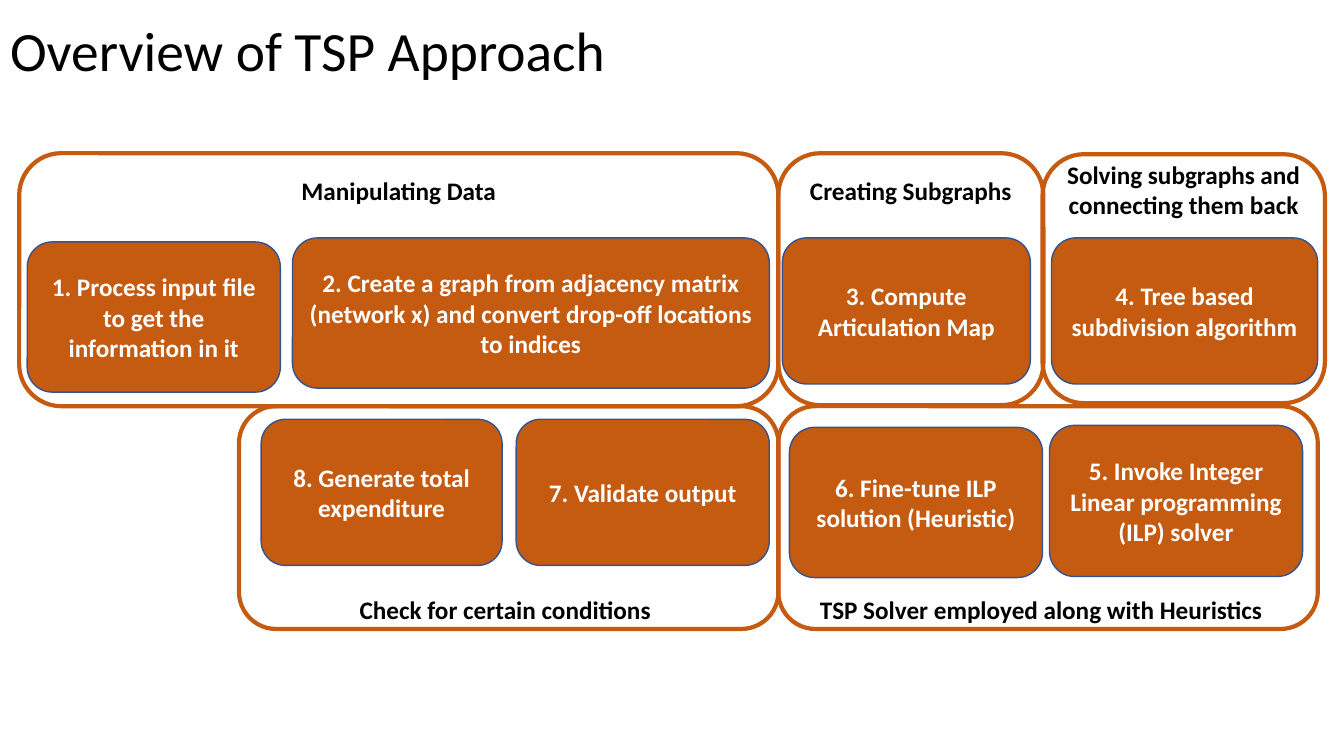
import pptx
import pptx.util
import pptx.dml.color
import pptx.enum.shapes
import pptx.enum.text

RGBColor = pptx.dml.color.RGBColor
RUST = RGBColor(0xC5, 0x5A, 0x11)
BLUE = RGBColor(0x32, 0x54, 0x91)
WHITE = RGBColor(0xFF, 0xFF, 0xFF)
BLACK = RGBColor(0, 0, 0)

FONT = "Calibri"
WIDE = pptx.util.Inches(13.33)
HIGH = pptx.util.Inches(7.5)

# Boxes are left, top, width, height in percent of the slide
STEPS = [
    ("1. Process input file to get the information in it", (2.03, 32, 18.83, 19.87)),
    ("2. Create a graph from adjacency matrix (network x) and convert "
     "drop-off locations to indices", (21.76, 31.47, 35.48, 19.87)),
    ("3. Compute Articulation Map", (58.21, 31.47, 18.45, 19.33)),
    ("4. Tree based subdivision algorithm", (78.24, 31.47, 19.8, 19.33)),
    ("5. Invoke Integer Linear programming (ILP) solver", (78.09, 56.27, 18.83, 20)),
    ("6. Fine-tune ILP solution (Heuristic)", (58.74, 56.53, 18.83, 19.87)),
    ("7. Validate output", (38.41, 55.47, 18.83, 19.33)),
    ("8. Generate total expenditure", (19.43, 55.47, 17.93, 19.33)),
]

# Upper phases carry the label at the top, lower ones at the bottom
UPPER = [
    ("Manipulating Data", (1.43, 20.27, 56.49, 33.47)),
    ("Creating Subgraphs", (57.91, 20.27, 19.73, 33.33)),
    ("Solving subgraphs and connecting them back", (77.57, 20.4, 21.01, 32.93)),
]
LOWER = [
    ("Check for certain conditions", (17.78, 53.73, 40.14, 29.47), 0.5),
    ("TSP Solver employed along with Heuristics", (57.91, 53.73, 40.14, 29.47), 1),
]


def place(box):
    """Turn percent of the slide into lengths."""
    return [round(part * side / 100) for part, side in zip(box, (WIDE, HIGH) * 2)]


def write(frame, text, size, color, bold, align):
    para = frame.paragraphs[0]
    para.alignment = align
    run = para.add_run()
    run.text = text
    run.font.name = FONT
    run.font.size = pptx.util.Pt(size)
    run.font.bold = bold
    run.font.color.rgb = color
    return para


def add_title(slide, text):
    title = slide.shapes.title
    title.left, title.top, title.width, title.height = place((0, 2.67, 75, 8.8))
    frame = title.text_frame
    frame.auto_size = pptx.enum.text.MSO_AUTO_SIZE.NONE
    frame.vertical_anchor = pptx.enum.text.MSO_ANCHOR.MIDDLE
    para = write(frame, text, 39.6, BLACK, False, pptx.enum.text.PP_ALIGN.LEFT)
    para.line_spacing = 0.9


def add_box(slide, text, box, line, width, color):
    """Add a rounded box with a bold centred label."""
    shape = slide.shapes.add_shape(
        pptx.enum.shapes.MSO_SHAPE.ROUNDED_RECTANGLE, *place(box))
    shape.shadow.inherit = False
    shape.line.color.rgb = line
    shape.line.width = pptx.util.Pt(width)
    frame = shape.text_frame
    frame.word_wrap = True
    frame.vertical_anchor = pptx.enum.text.MSO_ANCHOR.MIDDLE
    write(frame, text, 18, color, True, pptx.enum.text.PP_ALIGN.CENTER)
    return shape


def add_step(slide, text, box):
    shape = add_box(slide, text, box, BLUE, 1, WHITE)
    shape.fill.solid()
    shape.fill.fore_color.rgb = RUST


def add_phase(slide, text, box, above=0, below=0, right=0):
    """Add an open frame; insets in percent push its label off centre."""
    shape = add_box(slide, text, box, RUST, 3, BLACK)
    shape.fill.background()
    frame = shape.text_frame
    frame.margin_top += round(HIGH * above / 100)
    frame.margin_bottom += round(HIGH * below / 100)
    frame.margin_right += round(WIDE * right / 100)


def main():
    deck = pptx.Presentation()
    deck.slide_width, deck.slide_height = WIDE, HIGH
    slide = deck.slides.add_slide(deck.slide_layouts[5])

    add_title(slide, "Overview of TSP Approach")

    # Steps of the approach
    for text, box in STEPS:
        add_step(slide, text, box)

    # Phases around the steps
    for text, box in UPPER:
        add_phase(slide, text, box, below=23.6)
    for text, box, right in LOWER:
        add_phase(slide, text, box, above=24.4, right=right)

    deck.save("out.pptx")


if __name__ == "__main__":
    main()
